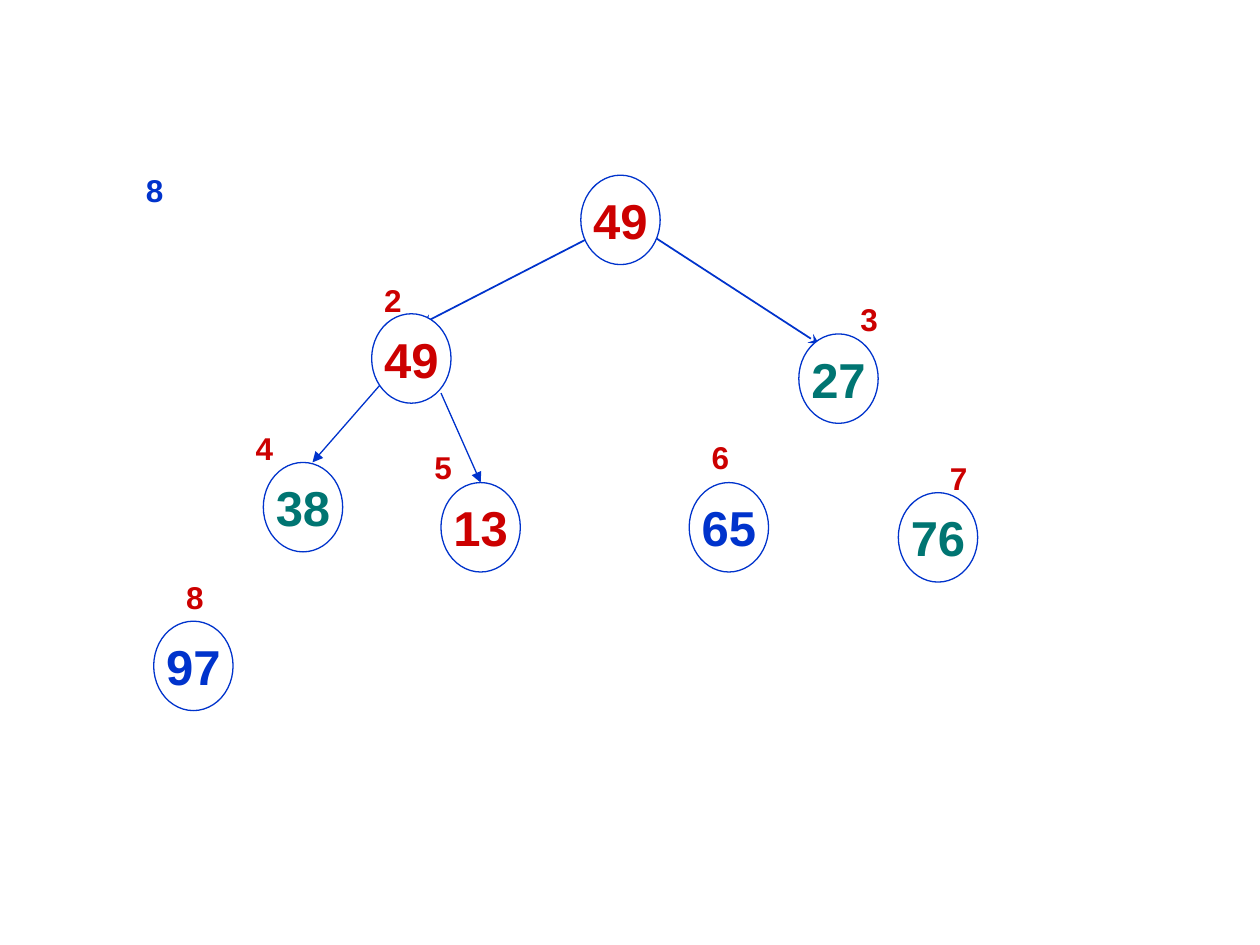
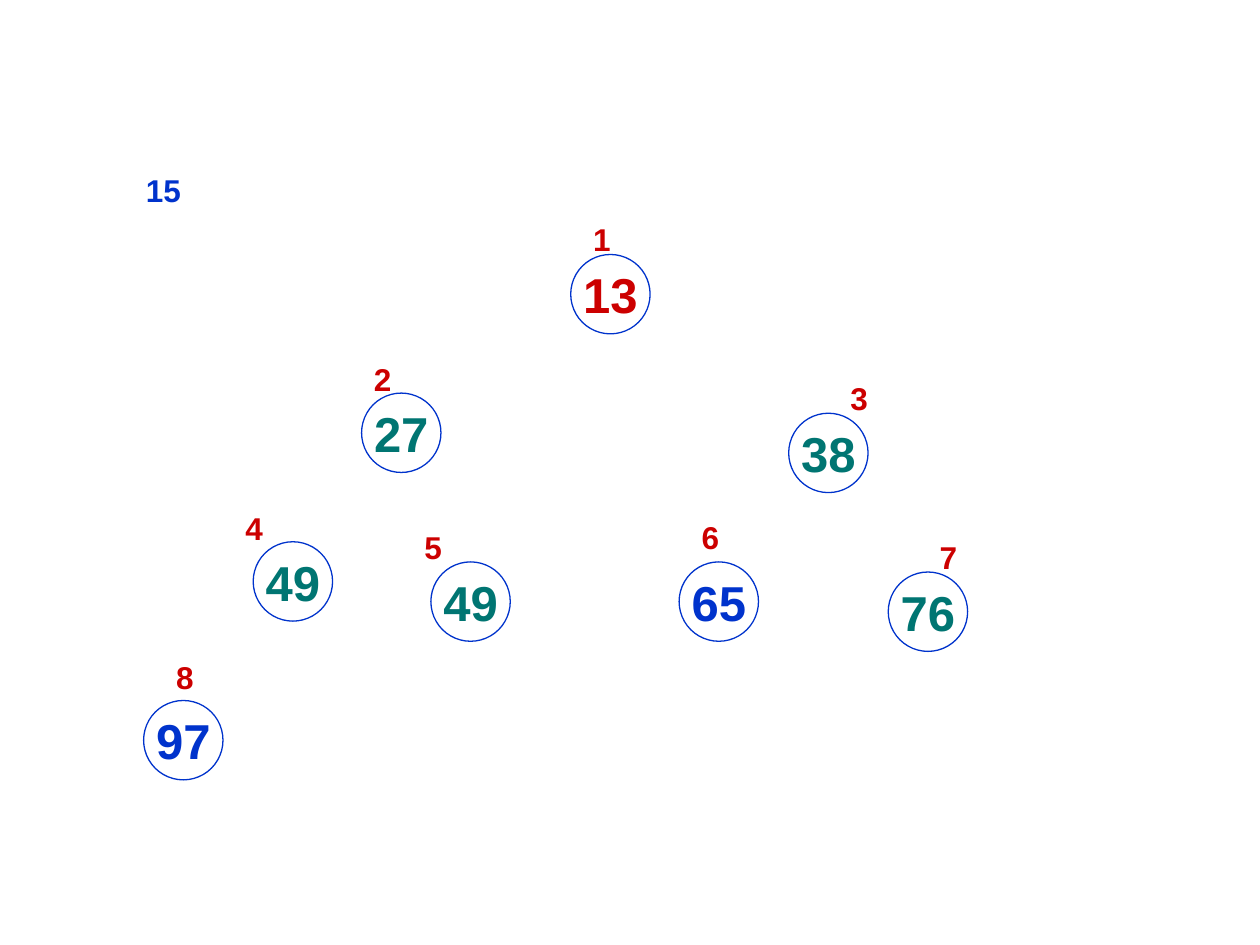
from dataclasses import dataclass

from lxml.etree import SubElement
from pptx import Presentation
from pptx.dml.color import RGBColor
from pptx.enum.shapes import MSO_CONNECTOR, MSO_SHAPE
from pptx.enum.text import MSO_ANCHOR, MSO_AUTO_SIZE, PP_ALIGN
from pptx.oxml.ns import qn
from pptx.util import Inches, Pt

# Shared style
FONT = "Arial"
BLUE, RED, GREEN, WHITE = "0033CC", "CC0000", "007572", "FFFFFF"
NODE_WIDTH = 0.63
LABEL_WIDTH, LABEL_HEIGHT = 0.34, 0.4


@dataclass(frozen=True)
class Slot:
    """Place of one heap node and of its index label, in inches."""
    left: float
    top: float
    label_left: float
    label_top: float


@dataclass(frozen=True)
class Edge:
    """Arrow from a parent to the child with the given heap index."""
    child: int
    start: tuple[float, float]
    end: tuple[float, float]
    weight: float
    arrow: str
    joined: bool = False


@dataclass(frozen=True)
class HeapState:
    """One step of the heap sort; a slide shows one state."""
    caption: str
    values: tuple[tuple[str, str], ...]
    node_height: float
    shift: tuple[float, float] = (0, 0)
    root_label: bool = True
    edges: tuple[Edge, ...] = ()


# Heap positions 1 to 8, level by level
SLOTS = (
    Slot(4.61, 1.39, 4.69, 1.07),
    Slot(2.95, 2.49, 2.95, 2.18),
    Slot(6.34, 2.65, 6.73, 2.33),
    Slot(2.09, 3.67, 1.93, 3.36),
    Slot(3.5, 3.83, 3.35, 3.51),
    Slot(5.47, 3.83, 5.55, 3.43),
    Slot(7.13, 3.91, 7.44, 3.59),
    Slot(1.22, 4.93, 1.38, 4.54),
)

STATES = (
    HeapState(
        caption="8",
        values=(("49", RED), ("49", RED), ("27", GREEN), ("38", GREEN),
                ("13", RED), ("65", BLUE), ("76", GREEN), ("97", BLUE)),
        node_height=0.71,
        root_label=False,
        edges=(
            Edge(2, (4.73, 1.86), (3.35, 2.57), 1, "stealth"),
            Edge(3, (5.16, 1.86), (6.5, 2.73), 1, "stealth"),
            Edge(4, (3.03, 3.04), (2.48, 3.67), 0.75, "triangle"),
            Edge(5, (3.5, 3.12), (3.82, 3.83), 0.75, "triangle", joined=True),
        ),
    ),
    HeapState(
        caption="15",
        values=(("13", RED), ("27", GREEN), ("38", GREEN), ("49", GREEN),
                ("49", GREEN), ("65", BLUE), ("76", GREEN), ("97", BLUE)),
        node_height=0.63,
        shift=(-0.08, 0.63),
    ),
)


def color(value: str) -> RGBColor:
    return RGBColor.from_string(value)


def write(shape, text: str, *, size: float, ink: str, align=PP_ALIGN.LEFT,
          anchor=MSO_ANCHOR.TOP, wrap: bool = True) -> None:
    """Set bold text in a shape or text box."""
    frame = shape.text_frame
    frame.word_wrap = wrap
    frame.vertical_anchor = anchor
    para = frame.paragraphs[0]
    para.alignment = align
    span = para.add_run()
    span.text = text
    span.font.name = FONT
    span.font.size = Pt(size)
    span.font.bold = True
    span.font.color.rgb = color(ink)


def add_label(page, text: str, left: float, top: float, *, ink: str = RED,
              width: float = LABEL_WIDTH) -> None:
    box = page.shapes.add_textbox(Inches(left), Inches(top),
                                  Inches(width), Inches(LABEL_HEIGHT))
    write(box, text, size=18, ink=ink)
    box.text_frame.auto_size = MSO_AUTO_SIZE.SHAPE_TO_FIT_TEXT


def add_node(page, text: str, ink: str, left: float, top: float, height: float):
    node = page.shapes.add_shape(MSO_SHAPE.OVAL, Inches(left), Inches(top),
                                 Inches(NODE_WIDTH), Inches(height))
    node.shadow.inherit = False
    node.fill.solid()
    node.fill.fore_color.rgb = color(WHITE)
    node.line.color.rgb = color(BLUE)
    node.line.width = Pt(0.75)
    write(node, text, size=28, ink=ink, align=PP_ALIGN.CENTER,
          anchor=MSO_ANCHOR.MIDDLE, wrap=False)
    return node


def add_edge(page, edge: Edge):
    points = (Inches(value) for value in (*edge.start, *edge.end))
    line = page.shapes.add_connector(MSO_CONNECTOR.STRAIGHT, *points)
    line.line.color.rgb = color(BLUE)
    line.line.width = Pt(edge.weight)
    SubElement(line.line._get_or_add_ln(), qn("a:tailEnd"), type=edge.arrow)
    SubElement(line._element.spPr, qn("a:effectLst"))
    return line


def draw_heap(page, state: HeapState) -> None:
    # Arrows lie behind the nodes
    lines = [add_edge(page, edge) for edge in state.edges]

    # Nodes and their index labels
    shift_x, shift_y = state.shift
    nodes = {}
    for index, (slot, (text, ink)) in enumerate(zip(SLOTS, state.values), start=1):
        if index > 1 or state.root_label:
            add_label(page, str(index), slot.label_left + shift_x,
                      slot.label_top + shift_y)
        nodes[index] = add_node(page, text, ink, slot.left + shift_x,
                                slot.top + shift_y, state.node_height)

    # Join arrows that end at the top of a node
    for edge, line in zip(state.edges, lines):
        if edge.joined:
            line.end_connect(nodes[edge.child], 0)

    # Step number
    add_label(page, state.caption, 1.06, 1.31, ink=BLUE, width=1.5)


def main() -> None:
    deck = Presentation()
    deck.slide_width, deck.slide_height = Inches(10), Inches(7.5)
    for state in STATES:
        draw_heap(deck.slides.add_slide(deck.slide_layouts[6]), state)
    deck.save("out.pptx")


if __name__ == "__main__":
    main()
